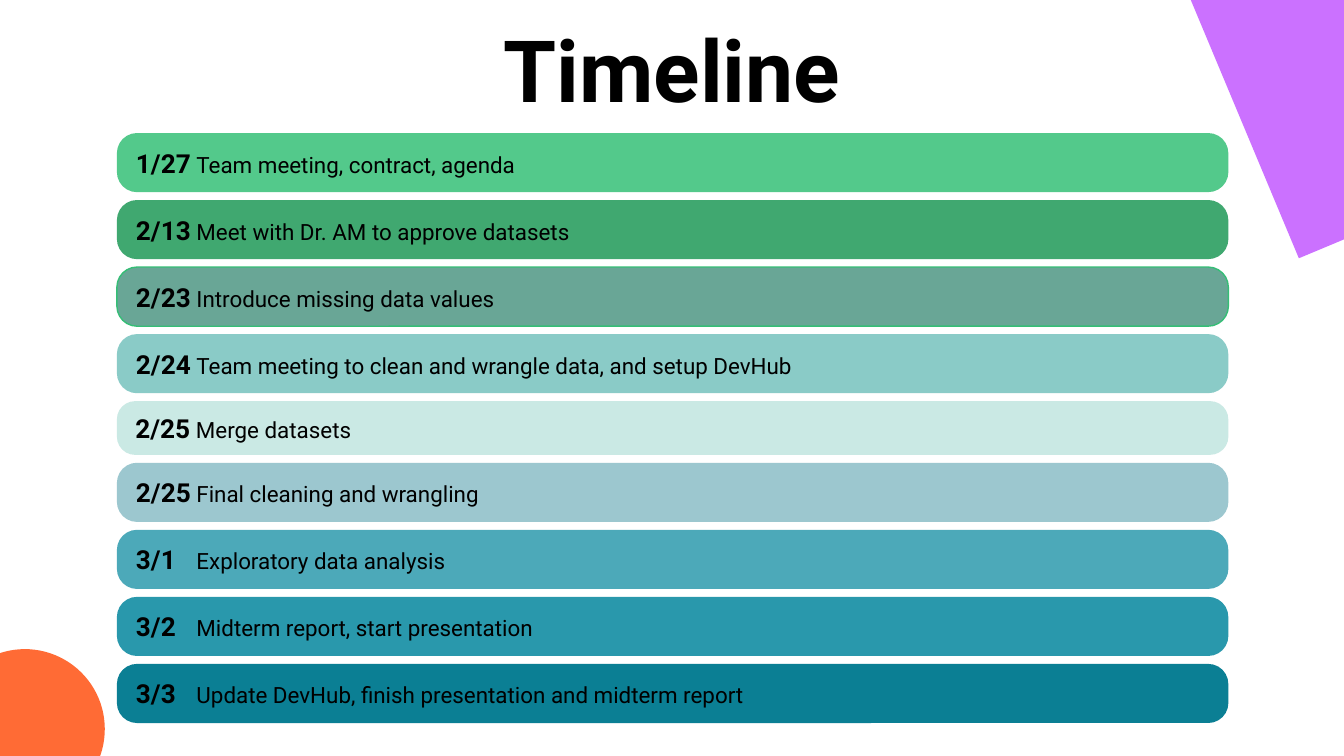
from lxml import etree
from pptx import Presentation
from pptx import util as u
from pptx.dml.color import RGBColor
from pptx.enum import shapes, text
from pptx.oxml import ns

FONT = "Roboto"
BLACK = RGBColor(0x00, 0x00, 0x00)
ORANGE = RGBColor(0xFF, 0x6B, 0x35)
PURPLE = RGBColor(0xCB, 0x71, 0xFF)
MINT = RGBColor(0x53, 0xC9, 0x8B)
GREEN = RGBColor(0x14, 0x94, 0x50)
SAGE = RGBColor(0x47, 0x92, 0x7E)
SAGE_EDGE = RGBColor(0x35, 0xBE, 0x76)
AQUA = RGBColor(0x70, 0xC0, 0xBB)
PALE = RGBColor(0xCA, 0xE9, 0xE4)
MIST = RGBColor(0x9C, 0xC7, 0xCF)
SKY = RGBColor(0x4C, 0xA9, 0xB9)
TEAL = RGBColor(0x29, 0x98, 0xAC)
DEEP_TEAL = RGBColor(0x0B, 0x7F, 0x94)

SLIDE_WIDTH = 10
SLIDE_HEIGHT = SLIDE_WIDTH * 9 / 16
BAR_LEFT, BAR_WIDTH, BAR_HEIGHT = 0.87, 8.27, 0.44
THIN_BAR, THIN_HEIGHT = 4, 0.4
TIMELINE_TOP, TIMELINE_BOTTOM = 0.99, 5.38
TASK_TAB = 0.45

# date, task, fill, opacity in percent, outline
MILESTONES = [
    ("1/27", "Team meeting, contract, agenda", MINT, 100, None),
    ("2/13", "Meet with Dr. AM to approve datasets", GREEN, 81, None),
    ("2/23", "Introduce missing data values", SAGE, 81, SAGE_EDGE),
    ("2/24", "Team meeting to clean and wrangle data, and setup DevHub",
     AQUA, 81, None),
    ("2/25", "Merge datasets", PALE, 100, None),
    ("2/25", "Final cleaning and wrangling", MIST, 100, None),
    ("3/1", "Exploratory data analysis", SKY, 100, None),
    ("3/2", "Midterm report, start presentation", TEAL, 100, None),
    ("3/3", "Update DevHub, finish presentation and midterm report",
     DEEP_TEAL, 100, None),
]


def format_run(run, size, bold):
    run.font.name = FONT
    run.font.size = u.Pt(size)
    run.font.bold = bold
    run.font.color.rgb = BLACK


def set_opacity(shape, percent):
    color = shape.fill._xPr.find(".//" + ns.qn("a:srgbClr"))
    etree.SubElement(color, ns.qn("a:alpha")).set("val", str(percent * 1000))


def add_tab_stop(paragraph, position):
    properties = paragraph._p.get_or_add_pPr()
    tabs = etree.SubElement(properties, ns.qn("a:tabLst"))
    etree.SubElement(tabs, ns.qn("a:tab"), pos=str(u.Inches(position)), algn="l")


def add_filled_shape(slide, kind, box, fill):
    shape = slide.shapes.add_shape(kind, *map(u.Inches, box))
    shape.shadow.inherit = False
    shape.fill.solid()
    shape.fill.fore_color.rgb = fill
    shape.line.fill.background()
    return shape


def add_corner_accent(slide, box, fill):
    """Add a tilted half-round shape that runs over the slide's edge."""
    accent = add_filled_shape(
        slide, shapes.MSO_SHAPE.FLOWCHART_DELAY, box, fill)
    accent.rotation = 337.3


def add_title(slide, wording):
    title = slide.shapes.title
    title.left, title.top = 0, u.Inches(0.16)
    title.width, title.height = u.Inches(SLIDE_WIDTH), u.Inches(0.84)
    frame = title.text_frame
    frame.text = wording
    frame.vertical_anchor = text.MSO_ANCHOR.MIDDLE
    frame.margin_top = frame.margin_bottom = u.Inches(0.1)
    paragraph = frame.paragraphs[0]
    paragraph.alignment = text.PP_ALIGN.CENTER
    paragraph.line_spacing = 0.8
    format_run(paragraph.runs[0], 46, True)


def add_milestone(slide, top, height, date, task, fill, opacity, outline):
    box = (BAR_LEFT, top, BAR_WIDTH, height)
    bar = add_filled_shape(
        slide, shapes.MSO_SHAPE.ROUNDED_RECTANGLE, box, fill)
    bar.adjustments[0] = 0.34
    if opacity < 100:
        set_opacity(bar, opacity)
    if outline is not None:
        bar.line.color.rgb = outline
        bar.line.width = u.Pt(0.75)
    frame = bar.text_frame
    frame.word_wrap = True
    frame.vertical_anchor = text.MSO_ANCHOR.MIDDLE
    frame.margin_left = frame.margin_right = u.Inches(0.1)
    frame.margin_top = frame.margin_bottom = u.Inches(0.1)
    paragraph = frame.paragraphs[0]
    paragraph.alignment = text.PP_ALIGN.LEFT
    add_tab_stop(paragraph, TASK_TAB)
    for wording, size, bold in ((date + "\t", 14, True), (task, 12, False)):
        run = paragraph.add_run()
        run.text = wording
        format_run(run, size, bold)


def add_timeline(slide):
    """Stack the bars with equal gaps between the timeline's ends."""
    heights = [BAR_HEIGHT] * len(MILESTONES)
    heights[THIN_BAR] = THIN_HEIGHT
    free_height = TIMELINE_BOTTOM - TIMELINE_TOP - sum(heights)
    gap = free_height / (len(MILESTONES) - 1)
    top = TIMELINE_TOP
    for height, milestone in zip(heights, MILESTONES):
        add_milestone(slide, top, height, *milestone)
        top += height + gap


def main():
    presentation = Presentation()
    presentation.slide_width = u.Inches(SLIDE_WIDTH)
    presentation.slide_height = u.Inches(SLIDE_HEIGHT)
    slide = presentation.slides.add_slide(presentation.slide_layouts[5])
    add_title(slide, "Timeline")
    add_timeline(slide)
    add_corner_accent(slide, (-0.41, 4.83, 1.19, 1.19), ORANGE)
    add_corner_accent(slide, (9.18, -0.49, 1.19, 2.27), PURPLE)
    presentation.save("out.pptx")


if __name__ == "__main__":
    main()
